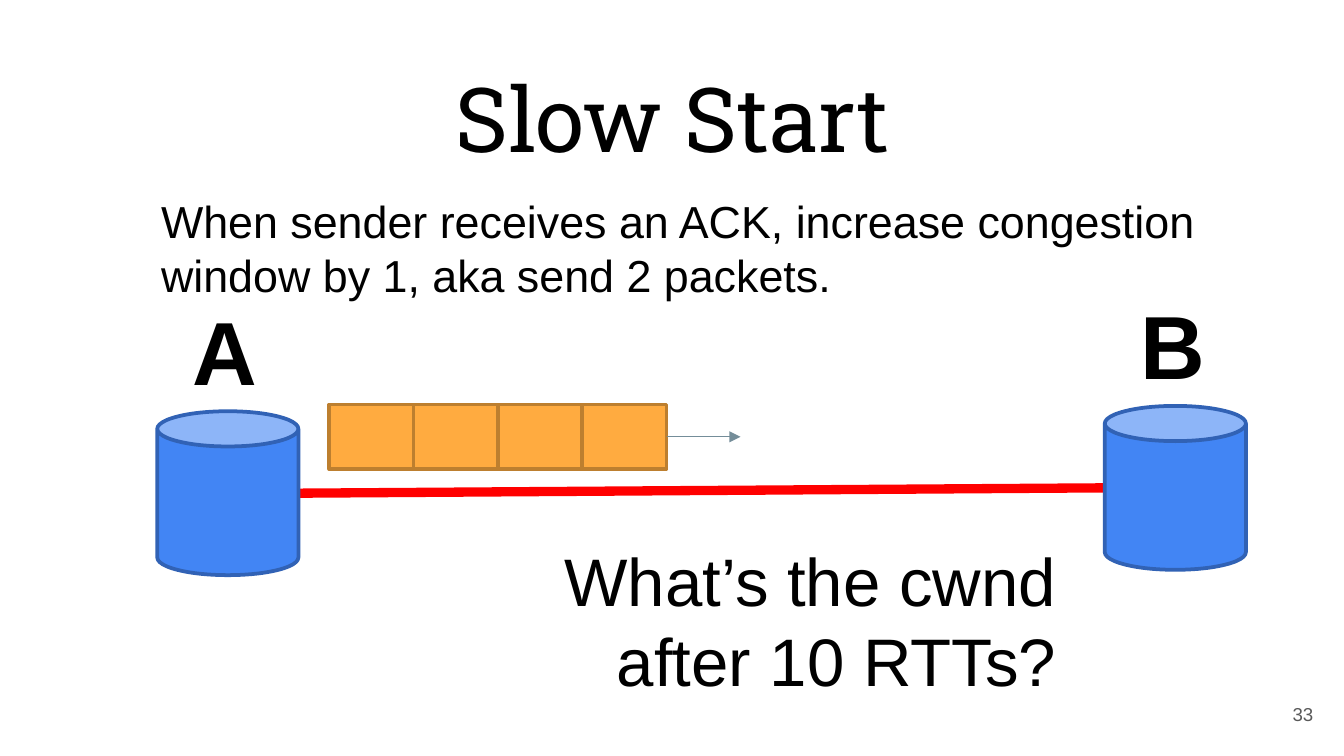
from lxml.etree import SubElement
from pptx import Presentation
from pptx.dml.color import RGBColor
from pptx.enum.shapes import MSO_CONNECTOR as Link, MSO_SHAPE as Kind
from pptx.enum.text import MSO_ANCHOR as Anchor, PP_ALIGN as Align
from pptx.oxml.ns import qn
from pptx.util import Inches, Pt

BLACK = RGBColor(0x00, 0x00, 0x00)
GRAY = RGBColor(0x59, 0x59, 0x59)
RED = RGBColor(0xFF, 0x00, 0x00)
BLUE = RGBColor(0x42, 0x85, 0xF4)
NAVY = RGBColor(0x31, 0x62, 0xB5)
AMBER = RGBColor(0xFF, 0xAB, 0x40)
BROWN = RGBColor(0xBD, 0x7F, 0x2F)
STEEL = RGBColor(0x74, 0x8D, 0x99)


def add_text(slide, box, lines, size, align=Align.LEFT, anchor=Anchor.TOP,
             pad=0.1, right=0.1, color=BLACK, **font):
    """Place lines of text in a box."""
    frame = slide.shapes.add_textbox(*map(Inches, box)).text_frame
    form = {"word_wrap": True, "vertical_anchor": anchor,
            "margin_left": Inches(0.1), "margin_right": Inches(right),
            "margin_top": Inches(pad), "margin_bottom": Inches(pad)}
    for name, value in form.items():
        setattr(frame, name, value)
    look = {"name": "Arial", "size": Pt(size), **font}
    for i, line in enumerate(lines):
        para = frame.add_paragraph() if i else frame.paragraphs[0]
        para.alignment = align
        run = para.add_run()
        run.text = line
        for name, value in look.items():
            setattr(run.font, name, value)
        run.font.color.rgb = color


def add_solid(slide, kind, box, fill, edge):
    """Place a filled shape with an outline."""
    shape = slide.shapes.add_shape(kind, *map(Inches, box))
    shape.shadow.inherit = False
    shape.fill.solid()
    shape.fill.fore_color.rgb = fill
    shape.line.color.rgb = edge
    shape.line.width = Pt(2)
    return shape


def add_line(slide, start, end, color, width, head=False):
    """Draw a straight line, with an arrowhead if asked."""
    line = slide.shapes.add_connector(
        Link.STRAIGHT, *map(Inches, (*start, *end)))
    line.line.color.rgb = color
    line.line.width = Pt(width)
    if head:
        SubElement(line.line._get_or_add_ln(), qn("a:tailEnd"), type="triangle")
    SubElement(line._element.spPr, qn("a:effectLst"))


def add_host(slide, box, name):
    """Place a host cylinder with its letter above."""
    left, top, wide, _ = box
    can = add_solid(slide, Kind.CAN, box, BLUE, NAVY)
    can.adjustments[0] = 0.25
    label = (left + (wide - 0.72) / 2, top - 0.91, 0.72, 0.9)
    add_text(slide, label, [name], 48, pad=0.05, bold=True)


def add_queue(slide, box, count):
    """Place a row of packets with an arrow leading on."""
    left, top, wide, high = box
    step = wide / count
    for i in reversed(range(count)):
        cell = (left + i * step, top, step, high)
        add_solid(slide, Kind.RECTANGLE, cell, AMBER, BROWN)
    end, mid = left + wide, top + high / 2
    add_line(slide, (end, mid), (end + 0.55, mid), STEEL, 0.75, head=True)


def add_net(slide, box):
    """Place two hosts, the link between them and the packets."""
    left, top, wide, high = box
    can, drop = 1.05, 0.04
    tall = high - drop
    far = left + wide - can
    add_line(slide, (left + can, top + drop + tall / 2),
             (far, top + tall / 2), RED, 5)
    add_host(slide, (left, top + drop, can, tall), "A")
    add_host(slide, (far, top, can, tall), "B")
    add_queue(slide, (left + 1.28, top - 0.01, 2.51, 0.48), 4)


def main():
    """Build and save the slide."""
    deck = Presentation()
    deck.slide_width, deck.slide_height = Inches(10), Inches(10) * 9 // 16
    slide = deck.slides.add_slide(deck.slide_layouts[6])
    add_text(slide, (0.36, 0.37, 9.29, 1.42), ["Slow Start"], 48,
             Align.CENTER, name="Roboto Slab")
    add_text(slide, (1.1, 1.39, 8.54, 0.91),
             ["When sender receives an ACK, increase congestion "
              "window by 1, aka send 2 packets."], 24, pad=0.05)
    add_net(slide, (1.17, 3.02, 8.1, 1.26))
    add_text(slide, (2.13, 4, 5.97, 1.31),
             ["What’s the cwnd", "after 10 RTTs?"], 36,
             Align.RIGHT, Anchor.BOTTOM, right=0.24)
    add_text(slide, (9.27, 5.1, 0.6, 0.43), ["33"], 10,
             Align.RIGHT, Anchor.MIDDLE, color=GRAY)
    deck.save("out.pptx")


if __name__ == "__main__":
    main()
